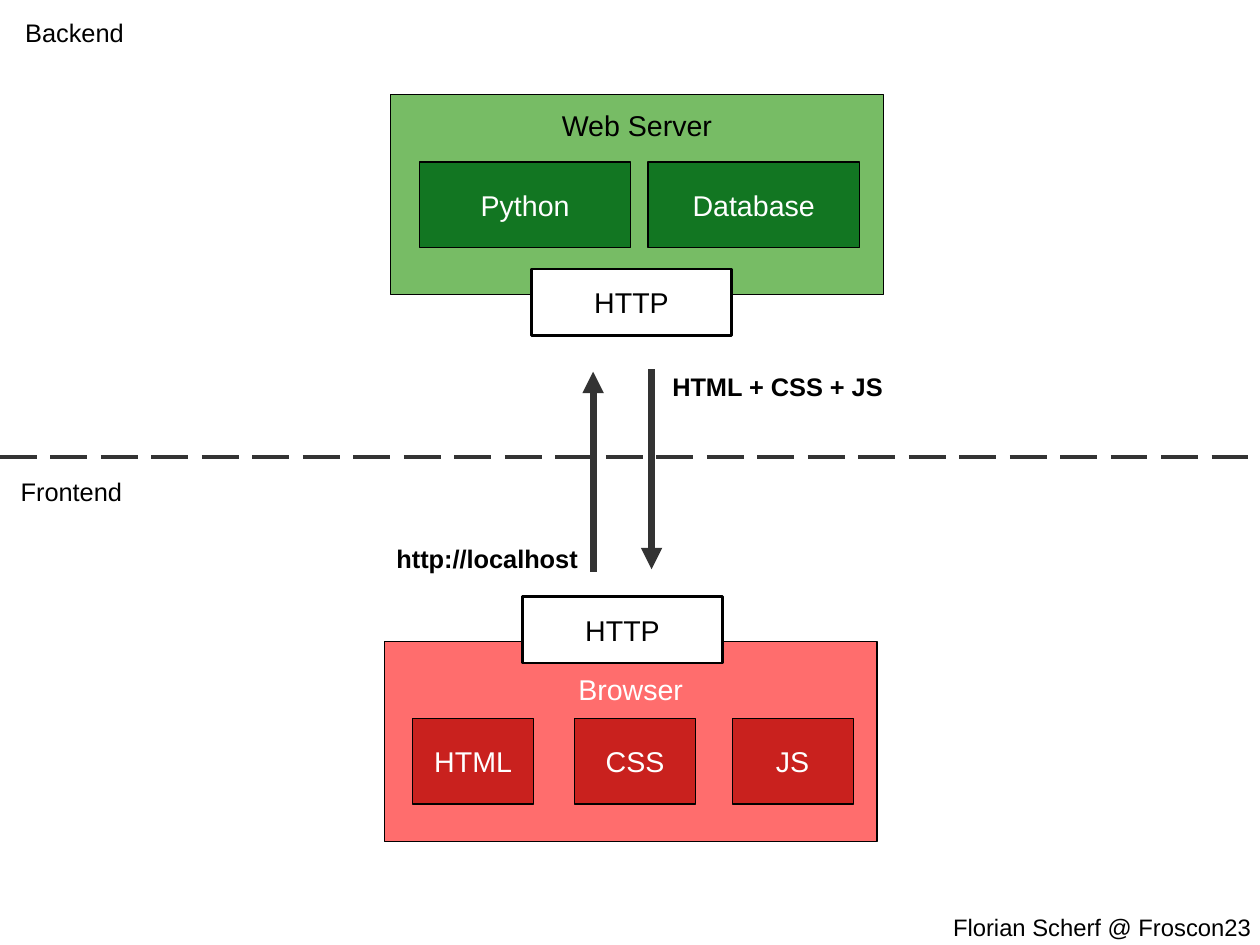
from lxml import etree
from pptx import Presentation, util as u
from pptx.dml.color import RGBColor
from pptx.enum import dml, shapes, text
from pptx.oxml import ns

PX = 3600  # EMU per px, 254 px to the inch
SLIDE_WIDTH, SLIDE_HEIGHT = 2800, 2100
FONT = "Arial"
BLACK, WHITE, GREY = "000000", "FFFFFF", "333333"
LIGHT_GREEN, GREEN = "77BC65", "127622"
LIGHT_RED, RED = "FF6D6D", "C9211E"


def px(length):
    return u.Emu(length * PX)


def color(hex_string):
    return RGBColor.from_string(hex_string)


def style_text(para, size, ink, bold=False):
    font = para.runs[0].font
    font.name, font.size, font.bold = FONT, u.Pt(size), bold
    font.color.rgb = color(ink)


def add_label(page, words, left, top, width=754, height=216, size=16, bold=False):
    box = page.shapes.add_textbox(px(left), px(top), px(width), px(height))
    frame = box.text_frame
    frame.margin_left = frame.margin_right = 0
    frame.margin_top = frame.margin_bottom = 0
    frame.word_wrap = True
    frame.text = words
    style_text(frame.paragraphs[0], size, BLACK, bold)


def add_block(page, words, left, top, width, height, fill, ink=WHITE,
              border=0, title_gap=None):
    """Rectangle with centred text, or with a title at title_gap below its top."""
    box = page.shapes.add_shape(shapes.MSO_SHAPE.RECTANGLE,
                                px(left), px(top), px(width), px(height))
    box.shadow.inherit = False
    box.fill.solid()
    box.fill.fore_color.rgb = color(fill)
    box.line.color.rgb = color(BLACK)
    box.line.width = u.Pt(border)
    frame = box.text_frame
    frame.word_wrap = True
    frame.vertical_anchor = text.MSO_ANCHOR.MIDDLE
    if title_gap is not None:
        frame.vertical_anchor = text.MSO_ANCHOR.TOP
        frame.margin_top = px(title_gap)
    frame.text = words
    para = frame.paragraphs[0]
    para.alignment = text.PP_ALIGN.CENTER
    style_text(para, 18, ink)


def add_http(page, left, top):
    add_block(page, "HTTP", left, top, 445, 148, WHITE, BLACK, border=1.5)


def add_line(page, x1, y1, x2, y2, width):
    connector = page.shapes.add_connector(shapes.MSO_CONNECTOR.STRAIGHT,
                                          px(x1), px(y1), px(x2), px(y2))
    connector.line.color.rgb = color(GREY)
    connector.line.width = u.Pt(width)
    etree.SubElement(connector._element.spPr, ns.qn("a:effectLst"))
    return connector


def add_arrow(page, x, start, end):
    arrow = add_line(page, x, start, x, end, 4.5)
    etree.SubElement(arrow.line._get_or_add_ln(), ns.qn("a:tailEnd"),
                     type="triangle")


def main():
    deck = Presentation()
    deck.slide_width = px(SLIDE_WIDTH)
    deck.slide_height = px(SLIDE_HEIGHT)
    page = deck.slides.add_slide(deck.slide_layouts[6])

    # Border between backend and frontend
    border = add_line(page, 0, 1016, SLIDE_WIDTH, 1016, 2.89)
    border.line.dash_style = dml.MSO_LINE.LONG_DASH
    add_label(page, "Backend", 56, 38)
    add_label(page, "Frontend", 46, 1059)

    # Web server
    add_block(page, "Web Server", 868, 210, 1095, 445, LIGHT_GREEN, BLACK, title_gap=31)
    for column, part in enumerate(("Python", "Database")):
        add_block(page, part, 932 + 508 * column, 360, 470, 190, GREEN)
    add_http(page, 1181, 598)

    # Browser
    add_block(page, "Browser", 854, 1426, 1095, 445, LIGHT_RED, title_gap=68)
    for part, left in (("HTML", 917), ("CSS", 1277), ("JS", 1627)):
        add_block(page, part, left, 1597, 269, 190, RED)
    add_http(page, 1161, 1326)

    # Request and response
    add_arrow(page, 1318, 1270, 826)
    add_arrow(page, 1448, 821, 1265)
    add_label(page, "http://localhost", 881, 1206, bold=True)
    add_label(page, "HTML + CSS + JS", 1494, 824, bold=True)

    # Footer
    add_label(page, "Florian Scherf @ Froscon23", 2118, 2028, 682, 72, size=15)

    deck.save("out.pptx")


if __name__ == "__main__":
    main()
